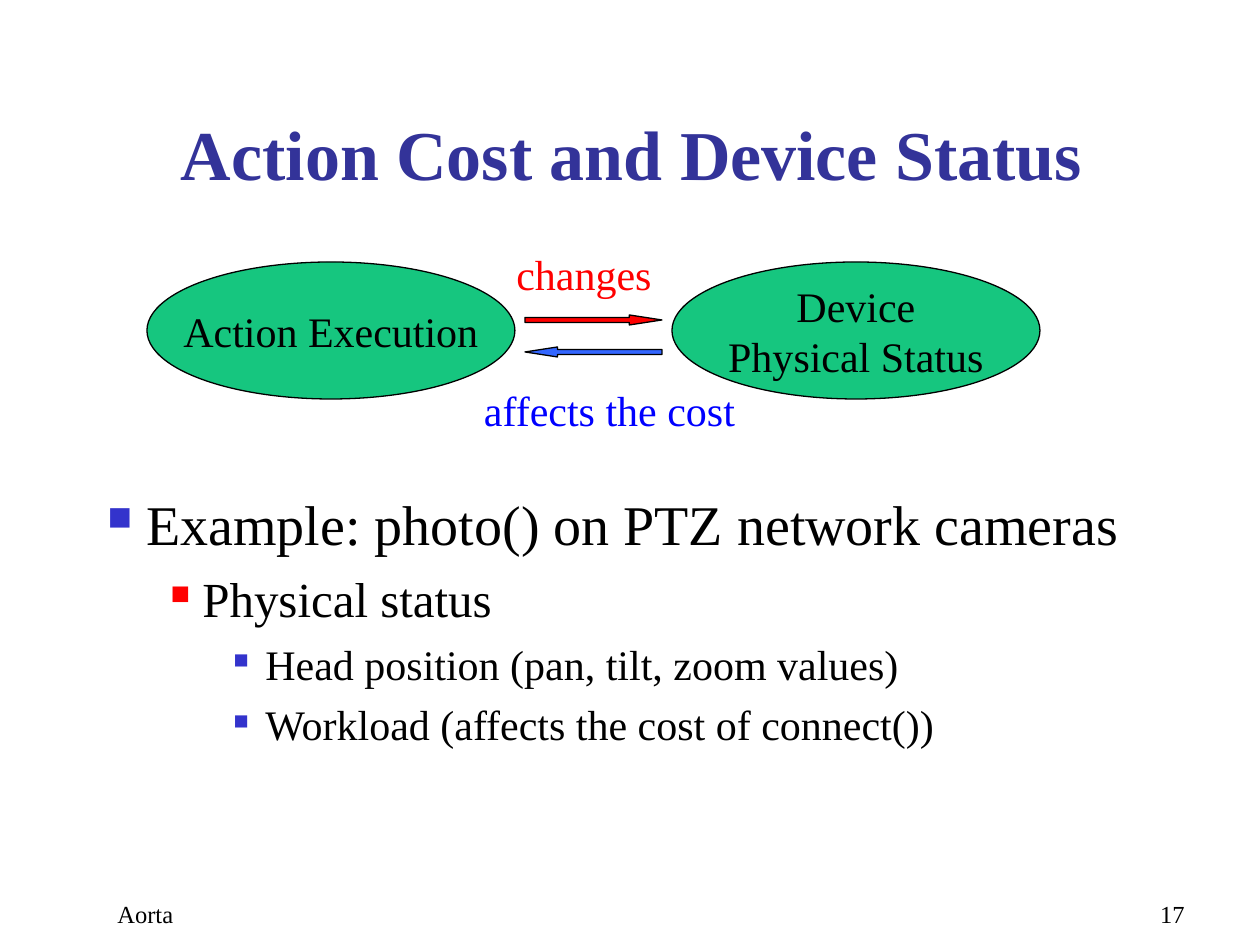
"""Build the slide on action cost and device status."""
from dataclasses import dataclass

from lxml import etree
from pptx import Presentation
from pptx.dml.color import RGBColor
from pptx.enum.shapes import MSO_SHAPE
from pptx.enum.text import MSO_ANCHOR, PP_ALIGN
from pptx.oxml.ns import qn
from pptx.util import Emu, Pt

ELLIPSE = MSO_SHAPE.OVAL
RIGHT_ARROW, LEFT_ARROW = MSO_SHAPE.RIGHT_ARROW, MSO_SHAPE.LEFT_ARROW
LEFT, CENTER, RIGHT = PP_ALIGN.LEFT, PP_ALIGN.CENTER, PP_ALIGN.RIGHT
TOP, MIDDLE, BOTTOM = MSO_ANCHOR.TOP, MSO_ANCHOR.MIDDLE, MSO_ANCHOR.BOTTOM
PX_PER_INCH = 126


@dataclass(frozen=True)
class Theme:
    """Colours, font and type sizes of the slide."""
    font: str = "Times New Roman"
    ink: str = "000000"
    title: str = "333399"
    bullet: str = "3333CC"
    node: str = "16C67F"
    red: str = "FF0000"
    blue: str = "0000FF"
    blue_fill: str = "3366FF"
    title_size: int = 40
    item_sizes: tuple = (32, 28, 24)
    label_size: int = 24
    footer_size: int = 14
    line_width: float = 0.75


def px(length):
    """Turn px into EMU."""
    return Emu(round(length * 914400 / PX_PER_INCH))


def write(para, text, *, font, size, color, bold=False, align=LEFT):
    """Add formatted text to a paragraph."""
    para.alignment = align
    span = para.add_run()
    span.text = text
    span.font.name = font
    span.font.size = Pt(size)
    span.font.bold = bold
    span.font.color.rgb = RGBColor.from_string(color)


def set_bullet(para, *, color, percent, margin, hanging):
    """Give a paragraph a square bullet and a hanging indent."""
    props = para._p.get_or_add_pPr()
    props.set("marL", str(px(margin)))
    props.set("indent", str(-px(hanging)))
    holder = etree.SubElement(props, qn("a:buClr"))
    etree.SubElement(holder, qn("a:srgbClr"), val=color)
    etree.SubElement(props, qn("a:buSzPct"), val=str(percent * 1000))
    etree.SubElement(props, qn("a:buChar"), char="■")


class Painter:
    """Draws styled elements on the current slide."""

    def __init__(self, page, theme):
        """Keep the slide and its style."""
        self.page = page
        self.theme = theme

    def text(self, place, text, *, anchor=MIDDLE, **style):
        """Add a text box with one paragraph."""
        box = self.page.shapes.add_textbox(*map(px, place))
        frame = box.text_frame
        frame.word_wrap = True
        frame.vertical_anchor = anchor
        write(frame.paragraphs[0], text, font=self.theme.font, **style)

    def shape(self, kind, place, fill):
        """Add an outlined preset shape."""
        shape = self.page.shapes.add_shape(kind, *map(px, place))
        shape.shadow.inherit = False
        shape.fill.solid()
        shape.fill.fore_color.rgb = RGBColor.from_string(fill)
        shape.line.color.rgb = RGBColor.from_string(self.theme.ink)
        shape.line.width = Pt(self.theme.line_width)
        return shape

    def node(self, place, lines):
        """Add an ellipse with centred lines of text."""
        theme = self.theme
        frame = self.shape(ELLIPSE, place, theme.node).text_frame
        frame.word_wrap = False
        frame.vertical_anchor = MIDDLE
        for index, line in enumerate(lines):
            para = frame.add_paragraph() if index else frame.paragraphs[0]
            write(para, line, font=theme.font, size=theme.label_size,
                  color=theme.ink, align=CENTER)

    def arrow(self, kind, place, fill):
        """Add a thin block arrow with a long head."""
        arrow = self.shape(kind, place, fill)
        arrow.adjustments[0] = 0.5
        arrow.adjustments[1] = 3.25

    def outline(self, place, items):
        """Add a bulleted list of (level, text) items."""
        theme = self.theme
        levels = ((theme.bullet, 60, 39, 39),
                  (theme.red, 55, 95, 32),
                  (theme.bullet, 50, 158, 32))
        frame = self.page.shapes.add_textbox(*map(px, place)).text_frame
        frame.word_wrap = True
        frame.vertical_anchor = TOP
        for index, (level, text) in enumerate(items):
            para = frame.add_paragraph() if index else frame.paragraphs[0]
            para.level = level
            color, percent, margin, hanging = levels[level]
            set_bullet(para, color=color, percent=percent,
                       margin=margin, hanging=hanging)
            size = theme.item_sizes[level]
            if index:
                para.space_before = Pt(size / 4)
            write(para, text, font=theme.font, size=size, color=theme.ink)


def main():
    """Build and save the deck."""
    deck = Presentation()
    deck.slide_width, deck.slide_height = px(1260), px(945)
    page = deck.slides.add_slide(deck.slide_layouts[6])
    theme = Theme()
    painter = Painter(page, theme)

    painter.text((42, 84, 1179, 117), "Action Cost and Device Status",
                 anchor=BOTTOM, size=theme.title_size, color=theme.title,
                 bold=True, align=CENTER)
    painter.outline((95, 483, 1071, 278), (
        (0, "Example: photo() on PTZ network cameras"),
        (1, "Physical status"),
        (2, "Head position (pan, tilt, zoom values)"),
        (2, "Workload (affects the cost of connect())"),
    ))

    painter.node((672, 262, 368, 137), ("Device", "Physical Status"))
    painter.node((147, 262, 368, 137), ("Action Execution",))
    painter.arrow(RIGHT_ARROW, (525, 315, 137, 10), theme.red)
    painter.arrow(LEFT_ARROW, (525, 347, 137, 10), theme.blue_fill)
    painter.text((431, 378, 357, 63), "affects the cost",
                 size=theme.label_size, color=theme.blue, align=CENTER)
    painter.text((504, 242, 189, 63), "changes",
                 size=theme.label_size, color=theme.red)

    for left, text, align in ((935, "17", RIGHT), (105, "Aorta", LEFT)):
        painter.text((left, 872, 262, 63), text, anchor=BOTTOM,
                     size=theme.footer_size, color=theme.ink, align=align)
    deck.save("out.pptx")


if __name__ == "__main__":
    main()
